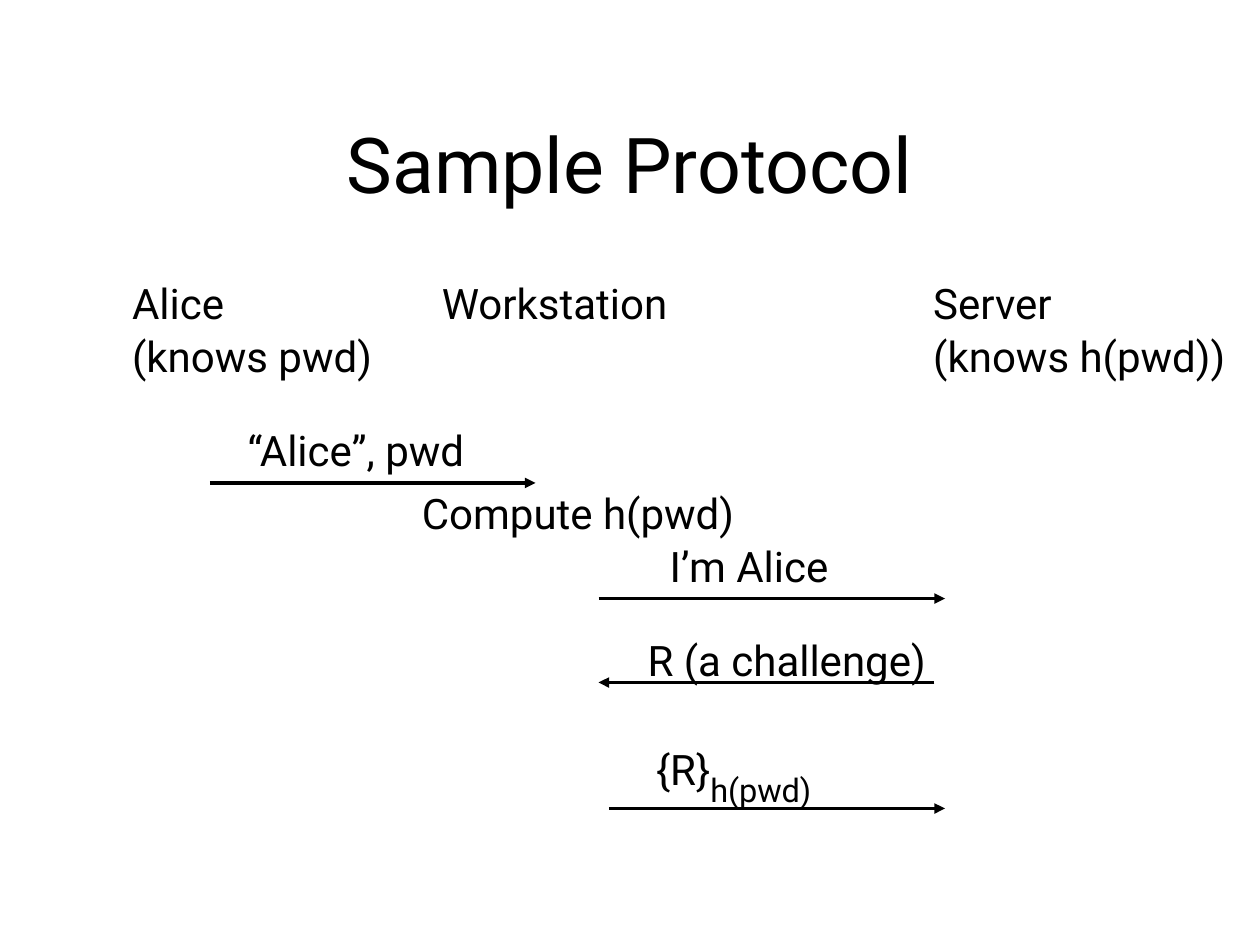
import dataclasses

import lxml.etree
import pptx
import pptx.dml.color
import pptx.enum.shapes
import pptx.enum.text
import pptx.oxml.ns
import pptx.util


@dataclasses.dataclass(frozen=True)
class Theme:
    """Colours, type and line sizes, and the grid of twelfths of an inch."""
    ink: pptx.dml.color.RGBColor = pptx.dml.color.RGBColor(0, 0, 0)
    paper: pptx.dml.color.RGBColor = pptx.dml.color.RGBColor(255, 255, 255)
    font: str = "Roboto"
    title_size: int = 44
    label_size: int = 24
    subscript_size: int = 32
    arrow_width: int = 2
    first_spacing: float = 1.01
    next_spacing: float = 1.06
    columns: int = 120
    rows: int = 90


THEME = Theme()
SLIDE_WIDTH = pptx.util.Inches(10)
SLIDE_HEIGHT = pptx.util.Inches(7.5)
LINE_HEIGHT, PAIR_HEIGHT, SUBSCRIPT_HEIGHT = 6.1, 11.2, 8.9
PARTY_ROW = 25.8

LABELS = [
    (11.4, PARTY_ROW, 26, PAIR_HEIGHT, ["Alice", "(knows pwd)"]),
    (40.9, PARTY_ROW, 25.3, LINE_HEIGHT, ["Workstation"]),
    (87.7, PARTY_ROW, 30.8, PAIR_HEIGHT, ["Server", "(knows h(pwd))"]),
    (22.4, 39.8, 24.2, LINE_HEIGHT, ["“Alice”, pwd"]),
    (39, 45.8, 33.7, LINE_HEIGHT, ["Compute h(pwd)"]),
    (62.6, 50.8, 18.1, LINE_HEIGHT, ["I’m Alice"]),
    (60.5, 59.8, 29.8, LINE_HEIGHT, ["R (a challenge)"]),
    (61.3, 68.8, 17.9, SUBSCRIPT_HEIGHT, ["{R}"]),
]
MESSAGES = [(20, 51, 46), (57, 90, 57), (89, 57, 65), (58, 90, 77)]


def across(column):
    """Return the horizontal length of a number of grid columns."""
    return round(SLIDE_WIDTH * column / THEME.columns)


def down(row):
    """Return the vertical length of a number of grid rows."""
    return round(SLIDE_HEIGHT * row / THEME.rows)


def style_paragraph(paragraph, size, spacing):
    """Apply the theme's type to a paragraph."""
    paragraph.line_spacing = spacing
    paragraph.font.name = THEME.font
    paragraph.font.size = pptx.util.Pt(size)
    paragraph.font.color.rgb = THEME.ink


def set_title(slide, wording):
    """Place and fill the title placeholder."""
    title = slide.shapes.title
    title.left, title.top = across(9), down(8)
    title.width, title.height = across(102), down(15)
    title.text_frame.text = wording
    title.text_frame.vertical_anchor = pptx.enum.text.MSO_ANCHOR.MIDDLE
    heading = title.text_frame.paragraphs[0]
    heading.alignment = pptx.enum.text.PP_ALIGN.CENTER
    style_paragraph(heading, THEME.title_size, THEME.first_spacing)


def add_label(slide, column, row, width, height, lines):
    """Add an unwrapped label and return its last paragraph."""
    label = slide.shapes.add_textbox(
        across(column), down(row), across(width), down(height))
    frame = label.text_frame
    frame.word_wrap = False
    frame.auto_size = pptx.enum.text.MSO_AUTO_SIZE.SHAPE_TO_FIT_TEXT
    frame.text = "\n".join(lines)
    for index, paragraph in enumerate(frame.paragraphs):
        spacing = THEME.next_spacing if index else THEME.first_spacing
        style_paragraph(paragraph, THEME.label_size, spacing)
    return frame.paragraphs[-1]


def add_subscript(paragraph, wording):
    """Append a lowered run to a paragraph."""
    subscript = paragraph.add_run()
    subscript.text = wording
    subscript.font.size = pptx.util.Pt(THEME.subscript_size)
    subscript._r.get_or_add_rPr().set("baseline", "-30000")


def add_message(slide, start, end, row):
    """Draw a level arrow between two columns."""
    arrow = slide.shapes.add_connector(
        pptx.enum.shapes.MSO_CONNECTOR.STRAIGHT,
        across(start), down(row), across(end), down(row))
    arrow.line.color.rgb = THEME.ink
    arrow.line.width = pptx.util.Pt(THEME.arrow_width)
    outline = arrow.line._get_or_add_ln()
    lxml.etree.SubElement(
        outline, pptx.oxml.ns.qn("a:tailEnd"), type="triangle")
    lxml.etree.SubElement(
        arrow._element.spPr, pptx.oxml.ns.qn("a:effectLst"))


def main():
    """Build and save the protocol slide."""
    deck = pptx.Presentation()
    deck.slide_width, deck.slide_height = SLIDE_WIDTH, SLIDE_HEIGHT
    slide = deck.slides.add_slide(deck.slide_layouts.get_by_name("Title Only"))
    slide.background.fill.solid()
    slide.background.fill.fore_color.rgb = THEME.paper
    set_title(slide, "Sample Protocol")
    for label in LABELS:
        response = add_label(slide, *label)
    add_subscript(response, "h(pwd)")
    for message in MESSAGES:
        add_message(slide, *message)
    deck.save("out.pptx")


if __name__ == "__main__":
    main()
